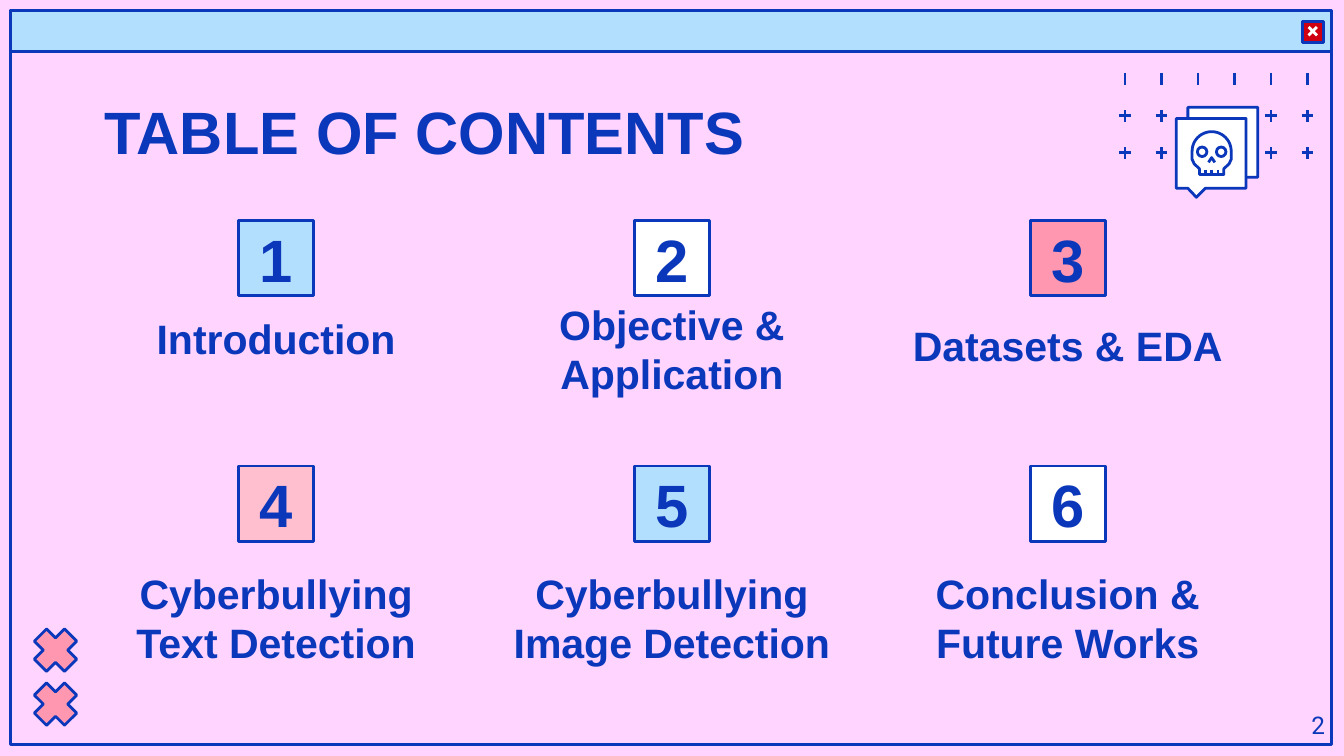
"""Build the table of contents slide in a retro window style."""
from math import cos, pi, sin

from lxml import etree
from pptx import Presentation
from pptx.dml.color import RGBColor
from pptx.enum.shapes import MSO_CONNECTOR, MSO_SHAPE
from pptx.enum.text import MSO_ANCHOR, MSO_AUTO_SIZE, PP_ALIGN
from pptx.oxml.ns import qn
from pptx.util import Cm, Pt

RECT, OVAL, CALLOUT = MSO_SHAPE.RECTANGLE, MSO_SHAPE.OVAL, MSO_SHAPE.RECTANGULAR_CALLOUT
STRAIGHT = MSO_CONNECTOR.STRAIGHT
TOP, MIDDLE = MSO_ANCHOR.TOP, MSO_ANCHOR.MIDDLE
LEFT, CENTER, RIGHT = PP_ALIGN.LEFT, PP_ALIGN.CENTER, PP_ALIGN.RIGHT
NO_AUTOFIT = MSO_AUTO_SIZE.NONE

INK, PINK, BLUE, WHITE = "0B37BA", "FFD4FF", "B3DFFF", "FFFFFF"
ROSE, BLUSH, RED = "FF97B1", "FFBFCF", "CF0011"

TITLE = "TABLE OF CONTENTS"
PAGE_NUMBER = "2"
TOPICS = [
    ("Introduction", BLUE, 6.39),
    ("Objective & Application", WHITE, 6.59),
    ("Datasets & EDA", ROSE, 6.52),
    ("Cyberbullying Text Detection", BLUSH, 11.67),
    ("Cyberbullying Image Detection", BLUE, 11.67),
    ("Conclusion & Future Works", WHITE, 11.67),
]
WINDOW_PARTS = [
    ((0.2, 0.2, 24.97, 13.87), None),
    ((0.2, 0.2, 24.97, 0.77), BLUE),
    ((24.62, 0.41, 0.39, 0.39), RED),
]
COLUMNS, FIRST_CENTER, COLUMN_STEP = 3, 5.22, 7.48
FIRST_TOP, ROW_STEP, BADGE = 4.17, 4.64, 1.42
LABEL_WIDTH, LABEL_HEIGHT = 6.96, 2.0
CLOSE_X, CLOSE_Y, CLOSE_ARM = 24.81, 0.59, 0.08
PLUS_X, PLUS_Y, PLUS_STEP_X, PLUS_STEP_Y, PLUS_ARM = 21.26, 1.49, 0.69, 0.7, 0.11
CROSS_X, CROSS_CENTERS = 1.05, (12.29, 13.31)
CROSS_QUARTER = [(0, -0.23), (-0.17, -0.4), (-0.4, -0.17)]
BUBBLES, BUBBLE_SIZE = [(22.45, 2.03), (22.23, 2.24)], 1.32
SKULL_X, SKULL_Y, SKULL_RADIUS = 22.9, 2.86, 0.37
JAW = [(0.37, 0.15), (0.33, 0.24), (0.23, 0.33), (0.23, 0.44)]
NOSE = [(-0.06, 0.21), (0, 0.12), (0.06, 0.21)]
TEETH, EYE_X, EYE_RADIUS = (-0.12, 0, 0.12), 0.18, 0.09


def color(value):
    return RGBColor.from_string(value)


def paint(shape, fill=None, line=INK):
    shape.shadow.inherit = False
    if fill:
        shape.fill.solid()
        shape.fill.fore_color.rgb = color(fill)
    else:
        shape.fill.background()
    shape.line.color.rgb = color(line)
    shape.line.width = Pt(1.5)
    return shape


def add_preset(preset, box, fill=None):
    return paint(slide.shapes.add_shape(preset, *map(Cm, box)), fill)


def add_line(x1, y1, x2, y2, line=INK):
    connector = slide.shapes.add_connector(STRAIGHT, *map(Cm, (x1, y1, x2, y2)))
    connector.line.color.rgb = color(line)
    connector.line.width = Pt(1.5)
    etree.SubElement(connector._element.spPr, qn("a:effectLst"))


def add_outline(points, x, y, fill=None, close=True):
    start, *rest = [(Cm(x + dx), Cm(y + dy)) for dx, dy in points]
    builder = slide.shapes.build_freeform(*start, scale=1.0)
    builder.add_line_segments(rest, close=close)
    return paint(builder.convert_to_shape(), fill)


def write(shape, text, size, align=CENTER, anchor=MIDDLE, font="Arial", bold=True, inset=0.25, edge=0):
    frame = shape.text_frame
    frame.text = text
    paragraph = frame.paragraphs[0]
    paragraph.alignment = align
    frame_format = {
        "word_wrap": True, "auto_size": NO_AUTOFIT, "vertical_anchor": anchor,
        "margin_left": Cm(inset), "margin_right": Cm(inset),
        "margin_top": Cm(edge), "margin_bottom": Cm(edge),
    }
    font_format = {"name": font, "size": Pt(size), "bold": bold}
    run_font = paragraph.runs[0].font
    for target, values in ((frame, frame_format), (run_font, font_format)):
        for name, value in values.items():
            setattr(target, name, value)
    run_font.color.rgb = color(INK)


def add_text(box, text, size, **style):
    write(slide.shapes.add_textbox(*map(Cm, box)), text, size, **style)


def draw_window():
    for box, fill in WINDOW_PARTS:
        add_preset(RECT, box, fill)
    for slope in (-1, 1):
        rise = slope * CLOSE_ARM
        add_line(CLOSE_X - CLOSE_ARM, CLOSE_Y - rise, CLOSE_X + CLOSE_ARM, CLOSE_Y + rise, WHITE)


def draw_plus_grid():
    for row in range(3):
        for column in range(6):
            x, y = PLUS_X + column * PLUS_STEP_X, PLUS_Y + row * PLUS_STEP_Y
            add_line(x, y - PLUS_ARM, x, y + PLUS_ARM)
            if row:
                add_line(x - PLUS_ARM, y, x + PLUS_ARM, y)


def draw_crosses():
    points, quarter = [], CROSS_QUARTER
    for _ in range(4):
        points += quarter
        quarter = [(y, -x) for x, y in quarter]
    for center in CROSS_CENTERS:
        add_outline(points, CROSS_X, center, ROSE)


def draw_skull():
    for left, top in BUBBLES:
        bubble = add_preset(CALLOUT, (left, top, BUBBLE_SIZE, BUBBLE_SIZE), WHITE)
        bubble.adjustments[0], bubble.adjustments[1] = -0.21, 0.63
    dome = [(-SKULL_RADIUS * cos(pi * i / 24), -SKULL_RADIUS * sin(pi * i / 24)) for i in range(25)]
    add_outline(dome + JAW + [(-x, y) for x, y in reversed(JAW)], SKULL_X, SKULL_Y)
    add_outline(NOSE, SKULL_X, SKULL_Y, close=False)
    for x in TEETH:
        add_line(SKULL_X + x, SKULL_Y + 0.35, SKULL_X + x, SKULL_Y + 0.44)
    for side in (-1, 1):
        left = SKULL_X + side * EYE_X - EYE_RADIUS
        add_preset(OVAL, (left, SKULL_Y + 0.01 - EYE_RADIUS, 2 * EYE_RADIUS, 2 * EYE_RADIUS))


def draw_topics():
    for index, (topic, fill, label_center) in enumerate(TOPICS):
        row, column = divmod(index, COLUMNS)
        center = FIRST_CENTER + column * COLUMN_STEP
        badge = add_preset(RECT, (center - BADGE / 2, FIRST_TOP + row * ROW_STEP, BADGE, BADGE), fill)
        write(badge, str(index + 1), 32, inset=0)
        label_box = (center - LABEL_WIDTH / 2, label_center - LABEL_HEIGHT / 2, LABEL_WIDTH, LABEL_HEIGHT)
        add_text(label_box, topic, 22)


presentation = Presentation()
presentation.slide_width, presentation.slide_height = Cm(25.4), Cm(14.29)
slide = presentation.slides.add_slide(presentation.slide_layouts[5])
slide.background.fill.solid()
slide.background.fill.fore_color.rgb = color(PINK)

title = slide.shapes.title
for side, length in {"left": 1.73, "top": 1.55, "width": 19.43, "height": 1.65}.items():
    setattr(title, side, Cm(length))
write(title, TITLE, 32, align=LEFT, anchor=TOP, edge=0.25)

draw_window()
draw_plus_grid()
draw_crosses()
draw_skull()
draw_topics()
add_text((23.77, 13.18, 1.52, 1.09), PAGE_NUMBER, 13,
         align=RIGHT, anchor=TOP, font="Roboto", bold=False, edge=0.25)
presentation.save("out.pptx")
